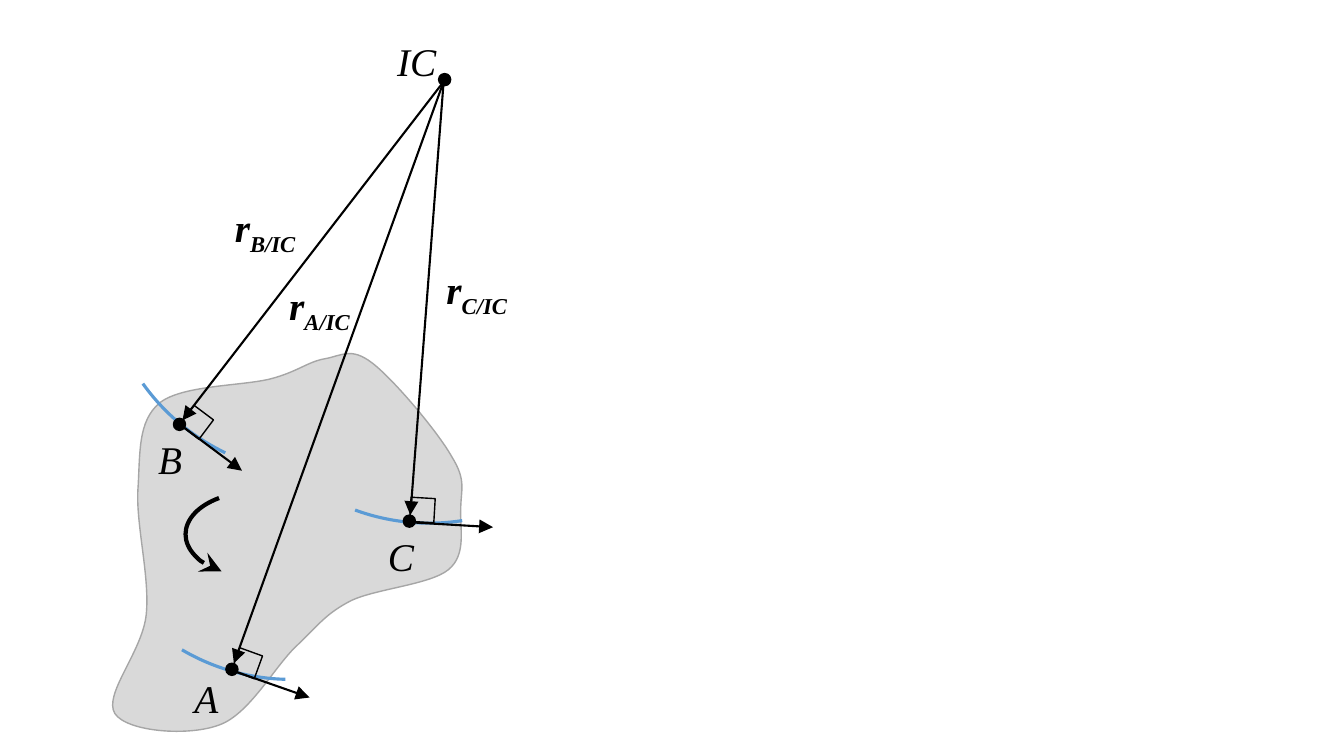
from lxml.etree import SubElement
from pptx import Presentation
from pptx.dml.color import RGBColor
from pptx.enum.shapes import MSO_CONNECTOR as CONNECTOR, MSO_SHAPE as SHAPE
from pptx.oxml.ns import qn
from pptx.util import Inches, Pt

COLORS = {"ink": "000000", "body": "D9D9D9", "edge": "A6A6A6", "path": "5B9BD5"}
FONT = "Times New Roman"
DOT = 0.12
CORNER = 0.24
ORBIT = 4.27
CENTER = (4.4, 0.81)

# Rigid body outline: a start point, then two handles and an end point per curve
BODY_START = (2.68, 3.76)
BODY_CURVES = [
    [(2.4, 3.83), (1.8, 3.82), (1.58, 4)],
    [(1.37, 4.18), (1.39, 4.48), (1.37, 4.83)],
    [(1.34, 5.18), (1.49, 5.72), (1.45, 6.1)],
    [(1.41, 6.47), (1.02, 6.89), (1.14, 7.08)],
    [(1.26, 7.26), (1.87, 7.31), (2.18, 7.19)],
    [(2.48, 7.08), (2.73, 6.6), (2.95, 6.4)],
    [(3.17, 6.19), (3.23, 6.09), (3.48, 5.96)],
    [(3.73, 5.84), (4.27, 5.8), (4.45, 5.65)],
    [(4.63, 5.5), (4.56, 5.24), (4.57, 5.05)],
    [(4.57, 4.86), (4.63, 4.77), (4.48, 4.53)],
    [(4.34, 4.28), (3.9, 3.76), (3.69, 3.6)],
    [(3.48, 3.44), (3.39, 3.53), (3.22, 3.56)],
    [(3.05, 3.59), (2.95, 3.69), BODY_START],
]

# Per point: orbit corner and turn, label and dot corners, radius tip,
# right-angle corner and turn, velocity start and tip
POINTS = {
    "A": dict(orbit=(0.75, 2.47, 152), label=(1.83, 6.64), dot=(2.24, 6.58),
              radius=(2.32, 6.58), corner=(2.33, 6.46, 19.9),
              velocity=((2.3, 6.65), (3.07, 6.92))),
    "B": dict(orbit=(1.02, 0.43, 176.1), label=(1.47, 4.27), dot=(1.72, 4.15),
              radius=(1.81, 4.17), corner=(1.83, 4.07, 36.9),
              velocity=((1.81, 4.23), (2.4, 4.67))),
    "C": dict(orbit=(2.12, 0.92, 141.7), label=(3.75, 5.23), dot=(4, 5.11),
              radius=(4.07, 5.11), corner=(4.07, 4.94, 3.4),
              velocity=((4.04, 5.18), (4.89, 5.23))),
}
RADIUS_LABELS = {"A": (2.77, 2.74), "C": (4.33, 2.58), "B": (2.23, 1.97)}


def rgb(name):
    return RGBColor.from_string(COLORS[name])


def style(shape, line, width, fill=None):
    shape.shadow.inherit = False
    shape.line.color.rgb = rgb(line)
    shape.line.width = Pt(width)
    if fill:
        shape.fill.solid()
        shape.fill.fore_color.rgb = rgb(fill)
    else:
        shape.fill.background()


def add_arrowhead(shape, end, kind):
    line = shape.element.spPr.find(qn("a:ln"))
    SubElement(line, qn(f"a:{end}"), type=kind, w="lg", len="lg")


def add_body(slide):
    vertices = [(Inches(x), Inches(y)) for curve in BODY_CURVES for x, y in curve]
    builder = slide.shapes.build_freeform(*(Inches(v) for v in BODY_START))
    builder.add_line_segments(vertices, close=True)
    body = builder.convert_to_shape()
    # Join every three segments into one Bezier curve
    segments = list(body.element.iter(qn("a:lnTo")))
    for first in range(0, len(segments), 3):
        curve = segments[first].makeelement(qn("a:cubicBezTo"))
        segments[first].addprevious(curve)
        for segment in segments[first:first + 3]:
            curve.append(segment[0])
            segment.getparent().remove(segment)
    style(body, "edge", 1, "body")


def add_arc(slide, box, turn, angles, color, width):
    arc = slide.shapes.add_shape(SHAPE.ARC, *(Inches(v) for v in box))
    # Angles in degrees; an adjustment unit is 100000 of the 60000ths of a degree
    for index, degrees in enumerate(angles):
        arc.adjustments[index] = degrees * 0.6
    arc.rotation = turn
    style(arc, color, width)
    return arc


def add_label(shapes, corner, width, text, subscript=None):
    label = shapes.add_textbox(*(Inches(v) for v in (*corner, width, 0.48)))
    frame = label.text_frame
    frame.word_wrap = True
    for part in filter(None, (text, subscript)):
        run = frame.paragraphs[0].add_run()
        run.text = part
        run.font.name = FONT
        run.font.size = Pt(28)
        run.font.italic = True
        run.font.color.rgb = rgb("ink")
        if subscript:
            run.font.bold = True
        if part == subscript:
            run._r.get_or_add_rPr().set("baseline", "-25000")


def add_point(slide, name, label, width, dot):
    group = slide.shapes.add_group_shape()
    add_label(group.shapes, label, width, name)
    marker = group.shapes.add_shape(
        SHAPE.OVAL, *(Inches(v) for v in (*dot, DOT, DOT)))
    style(marker, "ink", 1, "ink")


def add_vector(slide, start, tip):
    vector = slide.shapes.add_connector(
        CONNECTOR.STRAIGHT, *(Inches(v) for v in (*start, *tip)))
    vector.line.color.rgb = rgb("ink")
    vector.line.width = Pt(1.5)
    add_arrowhead(vector, "tailEnd", "triangle")
    SubElement(vector.element.spPr, qn("a:effectLst"))


def add_right_angle(slide, left, top, turn):
    corner = slide.shapes.add_shape(
        SHAPE.RECTANGLE, *(Inches(v) for v in (left, top, CORNER, CORNER)))
    corner.rotation = turn
    style(corner, "ink", 1)


def main():
    prs = Presentation()
    prs.slide_width, prs.slide_height = Inches(13.33), Inches(7.5)
    slide = prs.slides.add_slide(prs.slide_layouts[6])

    # Body and its sense of rotation
    add_body(slide)
    spin = add_arc(slide, (2.11, 4.61, 0.84, 1.38), 270, (222.12, 315.15), "ink", 3)
    add_arrowhead(spin, "headEnd", "stealth")

    # Instantaneous center
    add_point(slide, "IC", (3.84, 0.32), 0.65, (4.35, 0.73))

    # Points with their orbits, radii and velocities
    for name, point in POINTS.items():
        left, top, turn = point["orbit"]
        add_arc(slide, (left, top, ORBIT, ORBIT), turn, (299.45, 328.4), "path", 2.25)
        add_point(slide, name, point["label"], 0.5, point["dot"])
        add_vector(slide, CENTER, point["radius"])
        add_right_angle(slide, *point["corner"])
        add_vector(slide, *point["velocity"])

    # Radius labels
    for name, corner in RADIUS_LABELS.items():
        add_label(slide.shapes, corner, 1.01, "r", f"{name}/IC")

    prs.save("out.pptx")


if __name__ == "__main__":
    main()
